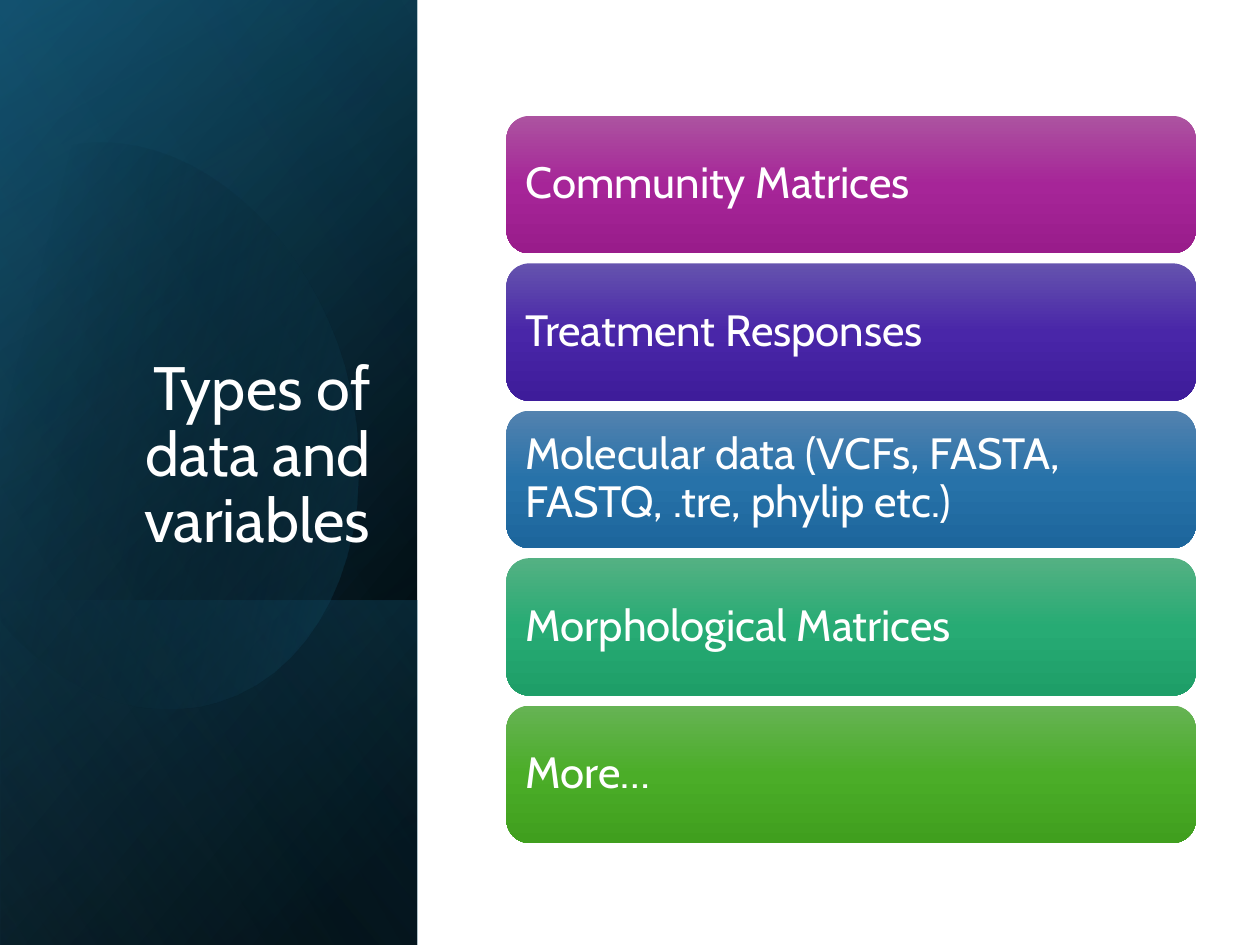
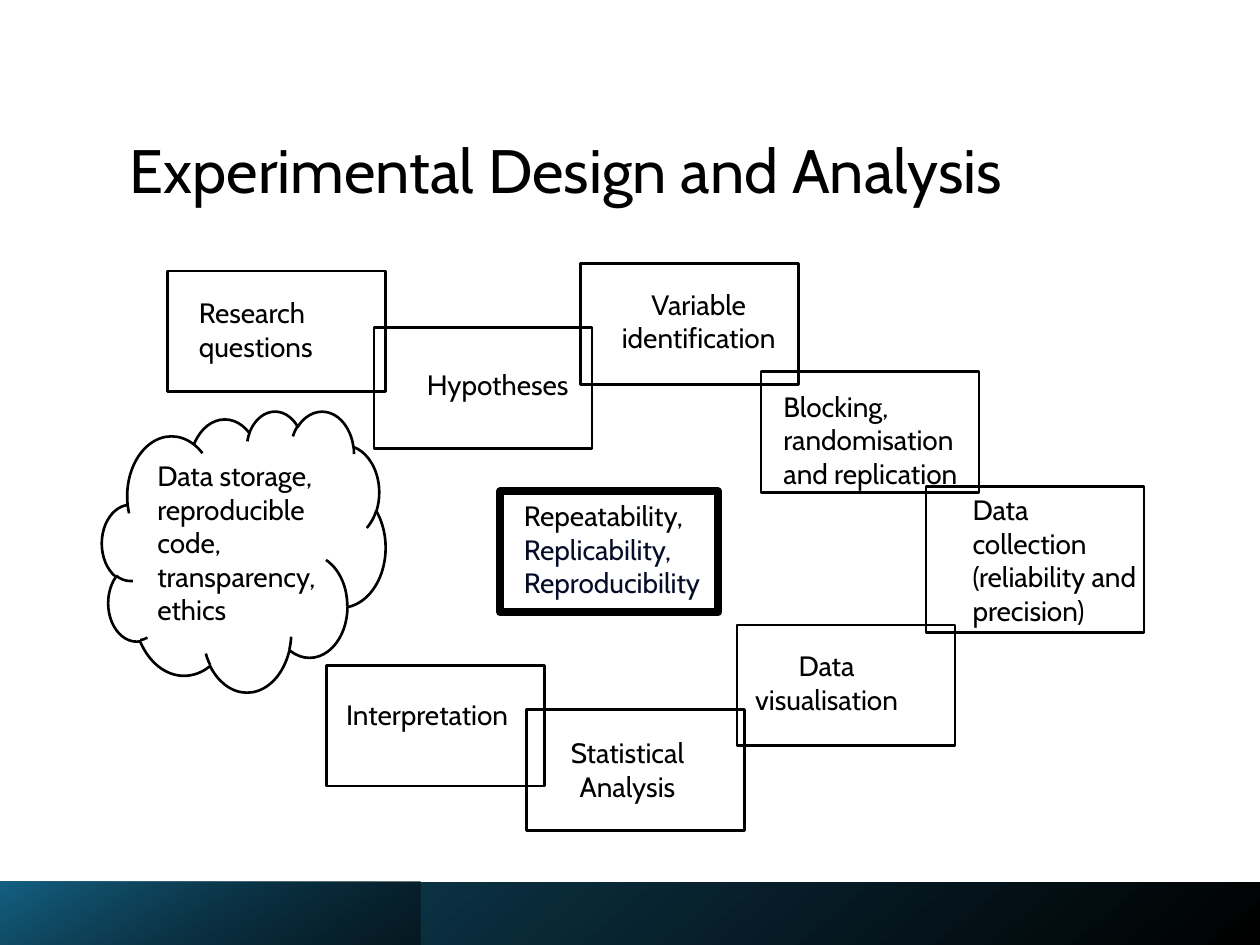
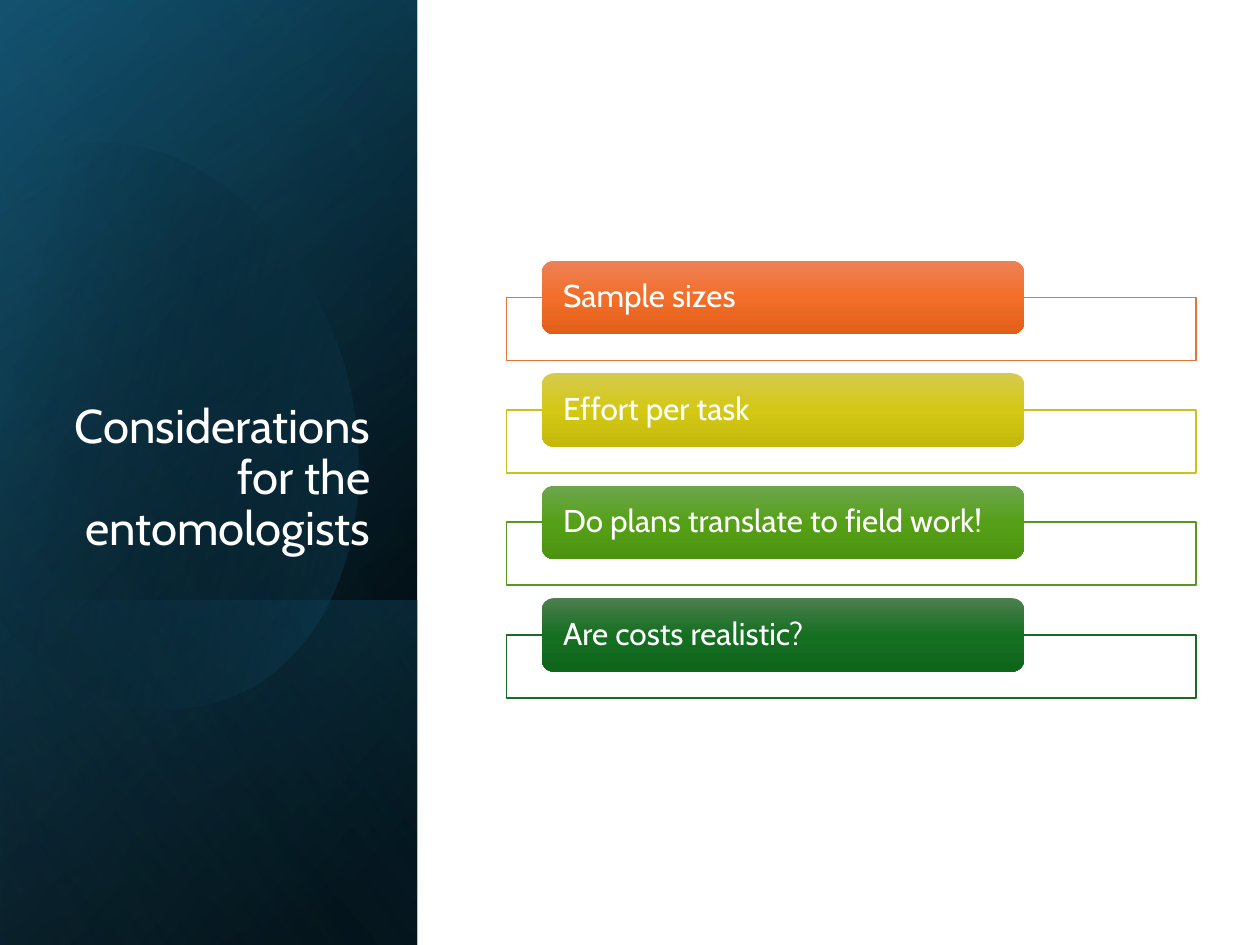
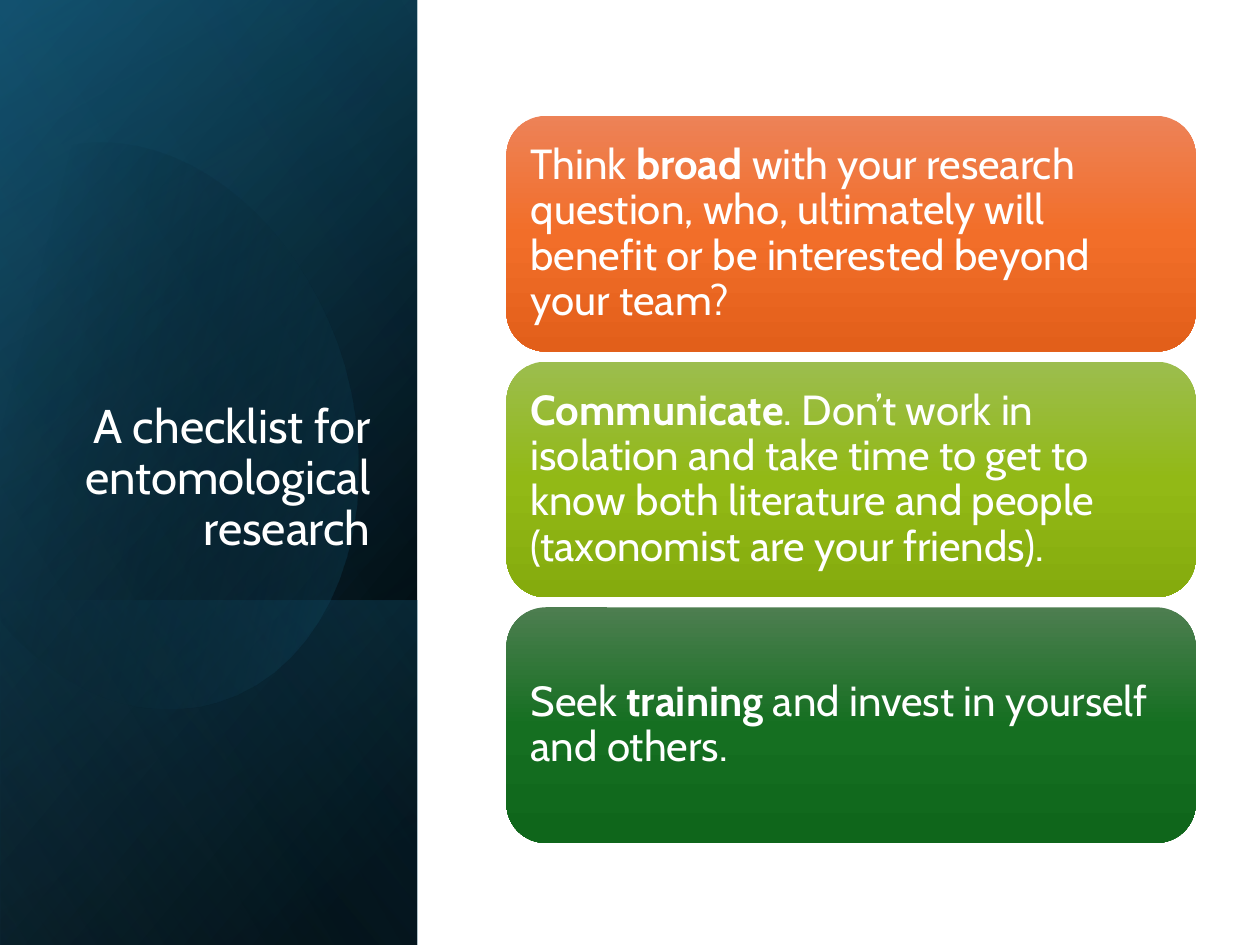
import math

import pptx
import pptx.util
import pptx.dml.color
import pptx.enum.shapes
import pptx.enum.text
import pptx.oxml
import pptx.oxml.ns
from lxml import etree

RGB = pptx.dml.color.RGBColor
KIND = pptx.enum.shapes.MSO_SHAPE
ALIGN = pptx.enum.text.PP_ALIGN
ANCHOR = pptx.enum.text.MSO_ANCHOR
SIZING = pptx.enum.text.MSO_AUTO_SIZE
qn = pptx.oxml.ns.qn

# Colours
BLACK = RGB(0x00, 0x00, 0x00)
WHITE = RGB(0xFF, 0xFF, 0xFF)
INK = RGB(0x04, 0x0C, 0x28)
NAVY = RGB(0x10, 0x48, 0x62)
TEAL = RGB(0x15, 0x60, 0x82)
SKY = RGB(0x46, 0xB1, 0xE1)

# Card colours: top, middle and bottom of the gradient
PLUM = RGB(0xAC, 0x53, 0xA0), RGB(0xA6, 0x25, 0x98), RGB(0x99, 0x1C, 0x8B)
VIOLET = RGB(0x65, 0x53, 0xAE), RGB(0x49, 0x26, 0xA8), RGB(0x3E, 0x1C, 0x9A)
BLUE = RGB(0x53, 0x82, 0xAF), RGB(0x27, 0x72, 0xA9), RGB(0x1D, 0x66, 0x9C)
MINT = RGB(0x54, 0xB1, 0x83), RGB(0x27, 0xAB, 0x74), RGB(0x1E, 0x9E, 0x68)
GREEN = RGB(0x66, 0xB3, 0x54), RGB(0x4B, 0xAD, 0x28), RGB(0x40, 0x9F, 0x1E)
ORANGE = RGB(0xED, 0x82, 0x57), RGB(0xF2, 0x6E, 0x29), RGB(0xE2, 0x5F, 0x1A)
YELLOW = RGB(0xD5, 0xCB, 0x4E), RGB(0xD4, 0xC8, 0x15), RGB(0xC4, 0xB9, 0x0B)
GRASS = RGB(0x6D, 0xA6, 0x4E), RGB(0x56, 0xA0, 0x17), RGB(0x4C, 0x93, 0x0F)
LIME = RGB(0x9C, 0xBD, 0x4E), RGB(0x92, 0xB9, 0x16), RGB(0x85, 0xAB, 0x0D)
FOREST = RGB(0x4D, 0x7E, 0x50), RGB(0x15, 0x6F, 0x21), RGB(0x0F, 0x66, 0x1B)

# Frame colours of the tabs
RUST = RGB(0xE9, 0x71, 0x32)
GOLD = RGB(0xCB, 0xC1, 0x1E)
MOSS = RGB(0x56, 0x99, 0x1D)
PINE = RGB(0x19, 0x6B, 0x24)

# Grid: 10 columns by 7.5 rows of square cells
COLS, ROWS = 10, 7.5
CELL = pptx.util.Inches(1)
LEFT, WIDE = 4.02, 5.47  # column of cards
BAND = 3.31              # width of the dark panel
GAP = 0.08
BOX = 1.73, 0.96         # box of the design chart
FONT = "Cabin"


def grid(*cells):
    return [round(cell * CELL) for cell in cells]


# Fills and lines
def fade(clr, share):
    etree.SubElement(clr, qn("a:alpha")).set("val", str(share * 1000))


def blend(shape, stops, angle):
    """Fill with a gradient of (place, colour, opacity) stops."""
    shape.fill.gradient()
    grad = shape.element.spPr.find(qn("a:gradFill"))
    grad.find(qn("a:lin")).set("ang", str(angle * 60000))
    list_ = grad.find(qn("a:gsLst"))
    for old in list(list_):
        list_.remove(old)
    for place, color, share in stops:
        stop = etree.SubElement(list_, qn("a:gs"), pos=str(place * 1000))
        clr = etree.SubElement(stop, qn("a:srgbClr"), val=str(color))
        if share < 100:
            fade(clr, share)


def plain(shape):
    shape.shadow.inherit = False
    shape.fill.background()
    shape.line.fill.background()
    return shape


def draw(shapes, kind, at):
    return plain(shapes.add_shape(kind, *grid(*at)))


def frame(shapes, kind, at, color=BLACK, width=1.5):
    shape = draw(shapes, kind, at)
    shape.line.color.rgb = color
    shape.line.width = pptx.util.Pt(width)
    return shape


# Text
def write(text, runs, size, color, para=None, **form):
    """Put runs, each a string or (string, colour, bold), in one paragraph."""
    for key, value in {"word_wrap": True, "auto_size": SIZING.NONE, **form}.items():
        setattr(text, key, value)
    line = text.paragraphs[0]
    for key, value in (para or {}).items():
        setattr(line, key, value)
    for part in [runs] if isinstance(runs, str) else runs:
        words, tint, bold = (part, color, None) if isinstance(part, str) else part
        run = line.add_run()
        run.text = words
        look = {"name": FONT, "size": pptx.util.Pt(size), "bold": bold}
        for key, value in look.items():
            setattr(run.font, key, value)
        run.font.color.rgb = tint


def label(shapes, at, runs, size, color, para, **form):
    box = shapes.add_textbox(*grid(*at))
    write(box.text_frame, runs, size, color, para, **form)


def title(slide, at, words, size, color, align, anchor):
    head = slide.shapes.title
    slide.shapes.element.append(head.element)  # in front of what is drawn so far
    head.left, head.top, head.width, head.height = grid(*at)
    write(head.text_frame, words, size, color,
          {"alignment": align, "line_spacing": 0.9}, vertical_anchor=anchor)


# Dark side panel
def sheet(slide, at, stops, angle):
    shape = draw(slide.shapes, KIND.RECTANGLE, at)
    shape.rotation = 90
    shape.element.spPr.find(qn("a:xfrm")).set("flipH", "1")
    blend(shape, stops, angle)


def curve(start, one, two, end, steps=16):
    for step in range(1, steps + 1):
        t = step / steps
        mix = (1 - t) ** 3, 3 * t * (1 - t) ** 2, 3 * t * t * (1 - t), t ** 3
        yield tuple(sum(m * p[axis] for m, p in zip(mix, (start, one, two, end)))
                    for axis in (0, 1))


def glow(slide):
    """Tilted round patch of light, cut off at the left edge."""
    tilt, mid = 343.9, (1.19, 3.35)
    dots = [(0.96, 1.14)]
    arcs = [
        [(1.71, 1.22), (2.44, 1.92), (2.73, 2.9)],
        [(3.07, 4.12), (2.62, 5.31), (1.71, 5.57)],
        [(1.14, 5.74), (0.53, 5.5), (0.07, 5)],
        [(-0.03, 4.88)], [(-0.25, 1.66)], [(-0.15, 1.54)],
        [(0.02, 1.37), (0.22, 1.25), (0.45, 1.18)],
        [(0.62, 1.13), (0.79, 1.12), (0.96, 1.14)],
    ]
    for arc in arcs:
        dots += curve(dots[-1], *arc) if len(arc) == 3 else arc
    # Turn the outline upright, so that the shape itself can carry the tilt
    cos, sin = math.cos(math.radians(-tilt)), math.sin(math.radians(-tilt))
    turned = []
    for x, y in dots:
        dx, dy = x - mid[0], y - mid[1]
        turned.append(grid(mid[0] + dx * cos - dy * sin, mid[1] + dx * sin + dy * cos))
    pen = slide.shapes.build_freeform(*turned[0])
    pen.add_line_segments(turned[1:])
    shape = plain(pen.convert_to_shape())
    shape.rotation = tilt
    blend(shape, [(29, BLACK, 0), (100, TEAL, 43)], 30)


def panel(slide, words, size):
    full = ((BAND - ROWS) / 2, (ROWS - BAND) / 2, ROWS, BAND)
    sheet(slide, full, [(8, BLACK, 100), (100, NAVY, 100)], 50)
    sheet(slide, full, [(0, BLACK, 0), (99, TEAL, 46)], 30)
    sheet(slide, (0.29, 4.48, 2.74, BAND), [(2, TEAL, 29), (100, BLACK, 30)], 130)
    glow(slide)
    sheet(slide, full, [(0, BLACK, 0), (99, SKY, 11)], 120)
    title(slide, (0.48, 1.84, 2.56, 2.62), words, size, WHITE,
          ALIGN.RIGHT, ANCHOR.BOTTOM)


# Cards
def stack(top, end, count, gap):
    """Tops and common height of equal rows between top and end."""
    high = (end - top - gap * (count - 1)) / count
    return [top + i * (high + gap) for i in range(count)], high


def card(shapes, at, tones, runs, size, side=0.1, edge=0.1):
    shape = draw(shapes, KIND.ROUNDED_RECTANGLE, at)
    blend(shape, [(i * 50, tone, 100) for i, tone in enumerate(tones)], 90)
    x, y, w, h = at
    pad = h * 0.05
    side, edge = grid(side, edge)
    label(shapes, (x + pad, y + pad, w - 2 * pad, h - 2 * pad), runs, size, WHITE,
          {"line_spacing": 0.9}, vertical_anchor=ANCHOR.MIDDLE,
          margin_left=side, margin_right=side, margin_top=edge, margin_bottom=edge)


def cards(slide, rows, size):
    shapes = slide.shapes.add_group_shape().shapes
    tops, high = stack(0.92, 6.69, len(rows), GAP)
    for top, (tones, runs) in zip(tops, rows):
        card(shapes, (LEFT, top, WIDE, high), tones, runs, size)


def tabs(slide, rows):
    shapes = slide.shapes.add_group_shape().shapes
    tops, high = stack(2.07, 5.33, len(rows), 0.31)
    for top, (tones, edge, words) in zip(tops, rows):
        back = frame(shapes, KIND.RECTANGLE, (LEFT, top + high / 2, WIDE, 0.5), edge, 1)
        back.fill.solid()
        back.fill.fore_color.rgb = WHITE
        fade(back.element.spPr.find(qn("a:solidFill"))[0], 90)
        card(shapes, (4.3, top, WIDE * 0.7, high), tones, words, 18, 0.14, 0)


# Design chart
def footer(slide):
    for wide, stops, angle in (
        (COLS, [(0, BLACK, 100), (100, NAVY, 100)], 230),
        (3.34, [(0, BLACK, 46), (99, TEAL, 100)], 240),
    ):
        bar = draw(slide.shapes, KIND.RECTANGLE, (0, 7, wide, 0.51))
        blend(bar, stops, angle)


def note(slide, at, runs, align=ALIGN.LEFT):
    label(slide.shapes, at, runs, 16, BLACK,
          {"alignment": align, "space_after": pptx.util.Pt(6)},
          auto_size=SIZING.SHAPE_TO_FIT_TEXT)


def chart(slide):
    shapes, mid = slide.shapes, ALIGN.CENTER
    steps = [
        ((1.33, 2.15), (1.48, 2.3, 1.43, 0.64), "Research questions", ALIGN.LEFT),
        ((2.97, 2.6), (3.29, 2.87, 1.43, 0.37), "Hypotheses", ALIGN.LEFT),
        ((4.61, 2.09), (4.7, 2.23, 1.69, 0.64), "Variable identification", mid),
        ((6.04, 2.95), (6.12, 3.04, 1.87, 0.91),
         "Blocking, randomisation and replication", ALIGN.LEFT),
        ((7.35, 3.86, 1.73, 1.16), (7.62, 3.86, 1.58, 1.17),
         "Data collection (reliability and precision)", ALIGN.LEFT),
        ((5.85, 4.96), (5.77, 5.1, 1.58, 0.64), "Data visualisation", mid),
        ((4.18, 5.63), (4.19, 5.79, 1.58, 0.64), "Statistical Analysis", mid),
        ((2.59, 5.28), (2.6, 5.49, 1.58, 0.37), "Interpretation", mid),
    ]
    for box, at, words, align in steps:
        frame(shapes, KIND.RECTANGLE, box if len(box) == 4 else box + BOX)
        note(slide, at, words, align)
    # Core idea
    frame(shapes, KIND.RECTANGLE, (3.97, 3.9) + BOX, width=4.5)
    note(slide, (4.06, 3.91, 1.73, 0.91),
         ["Repeatability, ", ("Replicability, Reproducibility", INK, None)])
    # Cloud
    frame(shapes, KIND.CLOUD, (0.81, 3.26, 2.25, 2.23))
    note(slide, (1.15, 3.59, 1.51, 1.44),
         "Data storage, reproducible code, transparency, ethics")


def main():
    deck = pptx.Presentation()
    deck.slide_width, deck.slide_height = grid(COLS, ROWS)
    types, design, field, check = [
        deck.slides.add_slide(deck.slide_layouts[5]) for _ in range(4)]

    # Types of data
    panel(types, "Types of data and variables", 35)
    cards(types, [
        (PLUM, "Community Matrices"),
        (VIOLET, "Treatment Responses"),
        (BLUE, "Molecular data (VCFs, FASTA, FASTQ, .tre, phylip etc.)"),
        (MINT, "Morphological Matrices"),
        (GREEN, "More…"),
    ], 25)

    # Experimental design
    title(design, (0.93, 0.78, 8.35, 1.2), "Experimental Design and Analysis", 35,
          BLACK, ALIGN.LEFT, ANCHOR.MIDDLE)
    footer(design)
    chart(design)

    # Considerations
    panel(field, "Considerations for the entomologists", 27)
    tabs(field, [
        (ORANGE, RUST, "Sample sizes"),
        (YELLOW, GOLD, "Effort per task"),
        (GRASS, MOSS, "Do plans translate to field work!"),
        (FOREST, PINE, "Are costs realistic?"),
    ])

    # Checklist
    panel(check, "A checklist for entomological research", 27)
    cards(check, [
        (ORANGE, ["Think ", ("broad", WHITE, True),
                  " with your research question, who, ultimately will benefit "
                  "or be interested beyond your team?"]),
        (LIME, [("Communicate", WHITE, True),
                ". Don’t work in isolation and take time to get to know both "
                "literature and people (taxonomist are your friends)."]),
        (FOREST, ["Seek ", ("training", WHITE, True),
                  " and invest in yourself and others."]),
    ], 24)
    deck.save("out.pptx")


if __name__ == "__main__":
    main()
